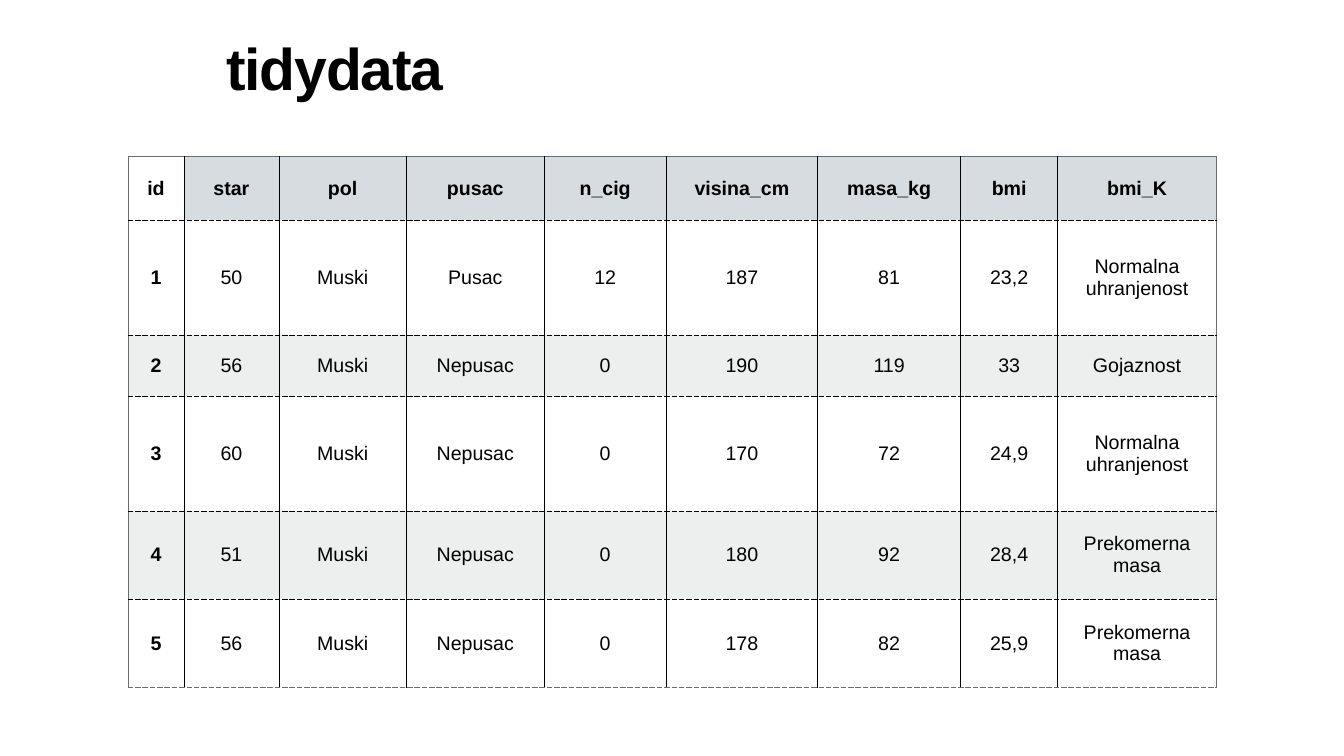
import pptx
import pptx.dml.color
import pptx.enum.text
import pptx.oxml
import pptx.oxml.ns
import pptx.util
from pptx.util import Inches

BLACK = pptx.dml.color.RGBColor(0x00, 0x00, 0x00)
WHITE = pptx.dml.color.RGBColor(0xFF, 0xFF, 0xFF)
EDGE_GRAY = pptx.dml.color.RGBColor(0x6C, 0x6C, 0x6C)
HEADER_FILL = pptx.dml.color.RGBColor(0xD6, 0xDC, 0xE0)
BAND_FILL = pptx.dml.color.RGBColor(0xED, 0xEE, 0xEE)
FONT_NAME = "Arial"

COLUMN_WIDTHS = [1.11, 1.88, 2.53, 2.73, 2.42, 3, 2.84, 1.92, 3.15]
ROW_HEIGHTS = [1.26, 2.27, 1.22, 2.27, 1.75, 1.75]
RECORDS = [
    ["id", "star", "pol", "pusac", "n_cig", "visina_cm", "masa_kg", "bmi", "bmi_K"],
    ["1", "50", "Muski", "Pusac", "12", "187", "81", "23,2", "Normalna uhranjenost"],
    ["2", "56", "Muski", "Nepusac", "0", "190", "119", "33", "Gojaznost"],
    ["3", "60", "Muski", "Nepusac", "0", "170", "72", "24,9", "Normalna uhranjenost"],
    ["4", "51", "Muski", "Nepusac", "0", "180", "92", "28,4", "Prekomerna masa"],
    ["5", "56", "Muski", "Nepusac", "0", "178", "82", "25,9", "Prekomerna masa"],
]


def format_font(font, size, bold):
    font.name = FONT_NAME
    font.size = pptx.util.Pt(size)
    font.bold = bold
    font.color.rgb = BLACK


def set_margins(target, margin):
    target.margin_left = target.margin_right = Inches(margin)
    target.margin_top = target.margin_bottom = Inches(margin)


def add_border(cell, side, color, dash="solid", width=1):
    namespace = pptx.oxml.ns.nsdecls("a")
    border = pptx.oxml.parse_xml(
        f'<a:ln{side} {namespace} w="{pptx.util.Pt(width)}" cap="flat" cmpd="sng">'
        f'<a:solidFill><a:srgbClr val="{color}"/></a:solidFill>'
        f'<a:prstDash val="{dash}"/></a:ln{side}>'
    )
    cell._tc.get_or_add_tcPr().append(border)


def add_cell_borders(cell, row, column):
    last_row = len(ROW_HEIGHTS) - 1
    last_column = len(COLUMN_WIDTHS) - 1
    add_border(cell, "L", EDGE_GRAY if column == 0 else BLACK)
    add_border(cell, "R", EDGE_GRAY if column == last_column else BLACK)
    if row == 0:
        add_border(cell, "T", EDGE_GRAY)
    else:
        add_border(cell, "T", BLACK, "dash")
    add_border(cell, "B", EDGE_GRAY if row == last_row else BLACK, "dash")


def cell_fill(row, column):
    if row == 0:
        return WHITE if column == 0 else HEADER_FILL
    return BAND_FILL if row % 2 == 0 else WHITE


def fill_cell(cell, text, row, column):
    add_cell_borders(cell, row, column)
    cell.fill.solid()
    cell.fill.fore_color.rgb = cell_fill(row, column)
    cell.vertical_anchor = pptx.enum.text.MSO_ANCHOR.MIDDLE
    set_margins(cell, 0.06)
    cell.text_frame.text = text
    paragraph = cell.text_frame.paragraphs[0]
    paragraph.alignment = pptx.enum.text.PP_ALIGN.CENTER
    format_font(paragraph.runs[0].font, 28, row == 0 or column == 0)


def place_title(slide, left, top, width, height):
    title = slide.shapes.title
    title.left, title.top = Inches(left), Inches(top)
    title.width, title.height = Inches(width), Inches(height)
    text_frame = title.text_frame
    text_frame.text = "tidydata"
    text_frame.word_wrap = True
    text_frame.auto_size = pptx.enum.text.MSO_AUTO_SIZE.NONE
    text_frame.vertical_anchor = pptx.enum.text.MSO_ANCHOR.MIDDLE
    set_margins(text_frame, 0.08)
    paragraph = text_frame.paragraphs[0]
    paragraph.alignment = pptx.enum.text.PP_ALIGN.LEFT
    paragraph.line_spacing = 0.8
    run = paragraph.runs[0]
    format_font(run.font, 84, True)
    run._r.get_or_add_rPr().set("spc", "-170")


def place_data_table(slide, left, top, width, height):
    table = slide.shapes.add_table(
        len(ROW_HEIGHTS), len(COLUMN_WIDTHS),
        Inches(left), Inches(top), Inches(width), Inches(height),
    ).table
    table.first_row = False
    table.horz_banding = False
    for column, share in zip(table.columns, COLUMN_WIDTHS):
        column.width = Inches(width * share / sum(COLUMN_WIDTHS))
    for row, share in zip(table.rows, ROW_HEIGHTS):
        row.height = Inches(height * share / sum(ROW_HEIGHTS))
    for row, record in enumerate(RECORDS):
        for column, text in enumerate(record):
            fill_cell(table.cell(row, column), text, row, column)


def main():
    presentation = pptx.Presentation()
    presentation.slide_width = Inches(26.67)
    presentation.slide_height = Inches(15)
    slide = presentation.slides.add_slide(presentation.slide_layouts[5])
    place_title(slide, 4.41, 0.68, 17.85, 1.56)
    place_data_table(slide, 2.54, 3.11, 21.6, 10.53)
    presentation.save("out.pptx")


if __name__ == "__main__":
    main()
